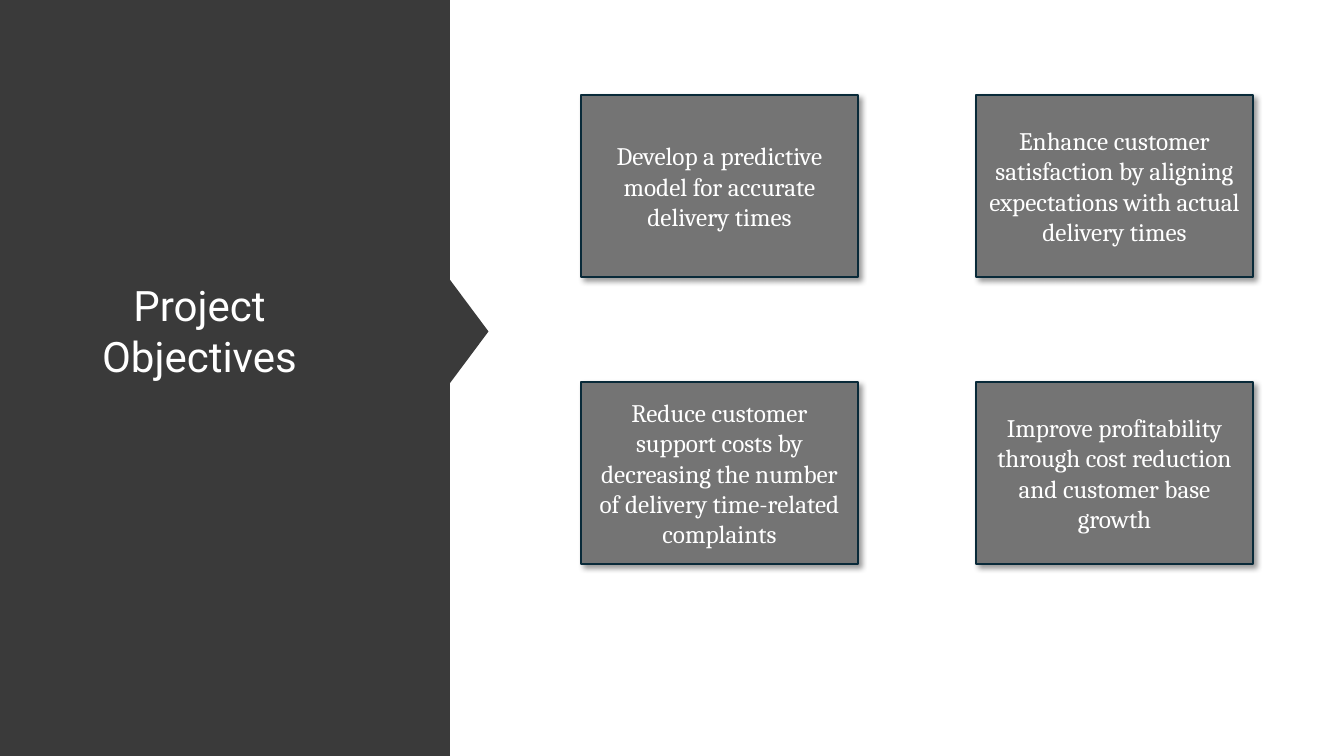
import lxml.etree
import pptx
import pptx.dml.color
import pptx.enum.shapes
import pptx.enum.text
import pptx.oxml.ns
import pptx.util

RGBColor = pptx.dml.color.RGBColor
SHAPE = pptx.enum.shapes.MSO_SHAPE
ANCHOR = pptx.enum.text.MSO_ANCHOR

CHARCOAL = RGBColor(0x3A, 0x3A, 0x3A)
GRAY = RGBColor(0x74, 0x74, 0x74)
NAVY = RGBColor(0x09, 0x2A, 0x39)
WHITE = RGBColor(0xFF, 0xFF, 0xFF)

OBJECTIVES = [
    ["Develop a predictive model for accurate delivery times",
     "Enhance customer satisfaction by aligning expectations with actual delivery times"],
    ["Reduce customer support costs by decreasing the number of delivery time-related complaints",
     "Improve profitability through cost reduction and customer base growth"],
]


def px(n):
    return pptx.util.Inches(n / 100.8)


class Deck:
    title_font = "Roboto"
    body_font = "Cambria"

    def __init__(self, width, height):
        self.prs = pptx.Presentation()
        self.prs.slide_width = px(width)
        self.prs.slide_height = px(height)
        self.s = self.prs.slides.add_slide(self.prs.slide_layouts[6])

    def shape(self, kind, x, y, w, h, fill):
        sp = self.s.shapes.add_shape(kind, px(x), px(y), px(w), px(h))
        sp.shadow.inherit = False
        sp.fill.solid()
        sp.fill.fore_color.rgb = fill
        sp.line.fill.background()
        return sp

    def text(self, sp, text, font, size, anchor):
        tf = sp.text_frame
        tf.word_wrap = True
        tf.vertical_anchor = anchor
        tf.text = text
        p = tf.paragraphs[0]
        p.alignment = pptx.enum.text.PP_ALIGN.CENTER
        r = p.runs[0]
        r.font.name = font
        r.font.size = pptx.util.Pt(size)
        r.font.color.rgb = WHITE

    def shadow(self, sp):
        qn = pptx.oxml.ns.qn
        effects = sp.element.spPr.find(qn("a:effectLst"))
        outer = lxml.etree.SubElement(
            effects, qn("a:outerShdw"), blurRad=str(pptx.util.Pt(4)),
            dist=str(pptx.util.Pt(3)), dir="2700000", algn="tl", rotWithShape="0")
        color = lxml.etree.SubElement(outer, qn("a:srgbClr"), val="000000")
        lxml.etree.SubElement(color, qn("a:alpha"), val="40000")

    def card(self, x, y, w, h, text):
        sp = self.shape(SHAPE.RECTANGLE, x, y, w, h, GRAY)
        sp.line.color.rgb = NAVY
        sp.line.width = pptx.util.Pt(1.5)
        self.shadow(sp)
        self.text(sp, text, self.body_font, 18, ANCHOR.MIDDLE)

    def title_panel(self, text):
        panel = self.shape(SHAPE.RECTANGLE, 0, 0, 450, 756, CHARCOAL)
        pointer = self.shape(SHAPE.ISOSCELES_TRIANGLE, 413, 311, 110, 41, CHARCOAL)
        pointer.rotation = 90
        title = self.shape(SHAPE.RECTANGLE, 69, 275, 261, 112, CHARCOAL)
        self.text(title, text, self.title_font, 30, ANCHOR.TOP)
        self.s.shapes.add_group_shape([panel, pointer, title])


def main():
    deck = Deck(1344, 756)
    for row, texts in enumerate(OBJECTIVES):
        for col, text in enumerate(texts):
            deck.card(581 + 395 * col, 95 + 287 * row, 277, 182, text)
    deck.title_panel("Project Objectives")
    deck.prs.save("out.pptx")


if __name__ == "__main__":
    main()
